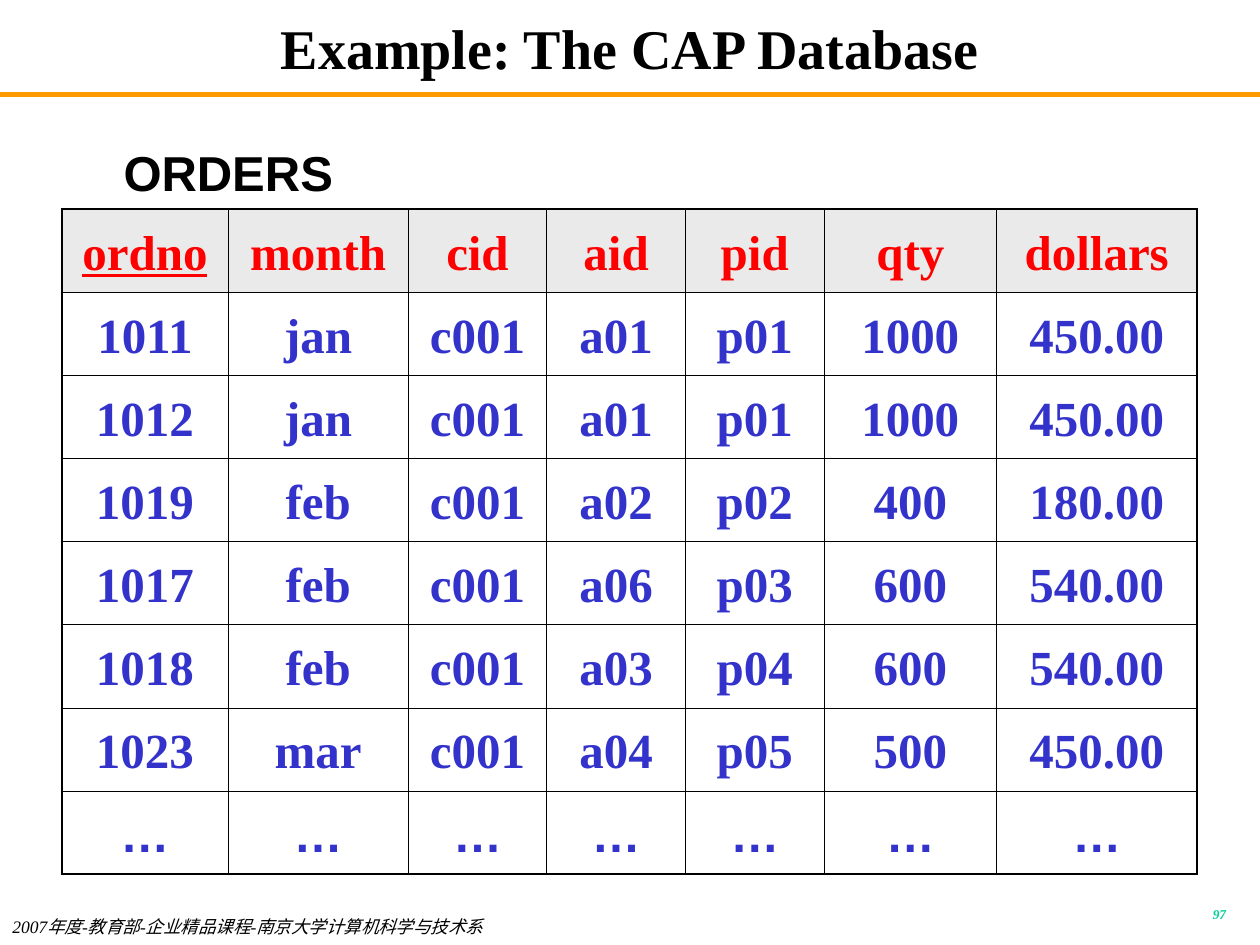
from lxml import etree
from pptx import Presentation
from pptx.dml.color import RGBColor
from pptx.enum import shapes, text
from pptx.oxml import ns
from pptx.util import Inches, Pt

BLACK = RGBColor(0x00, 0x00, 0x00)
ORANGE = RGBColor(0xFF, 0x99, 0x00)
GREEN = RGBColor(0x00, 0xCC, 0x99)
RED = RGBColor(0xFF, 0x00, 0x00)
BLUE = RGBColor(0x33, 0x33, 0xCC)
GRAY = RGBColor(0xEA, 0xEA, 0xEA)

SERIF, SANS = "Times New Roman", "Arial"
LEFT, CENTER, RIGHT = text.PP_ALIGN.LEFT, text.PP_ALIGN.CENTER, text.PP_ALIGN.RIGHT
OUTER_BORDER, INNER_BORDER = 1.08, 0.45

COLUMN_WIDTHS = [1.32, 1.43, 1.1, 1.1, 1.1, 1.37, 1.59]
ROW_HEIGHT = 0.66
ORDERS = [
    ["ordno", "month", "cid", "aid", "pid", "qty", "dollars"],
    ["1011", "jan", "c001", "a01", "p01", "1000", "450.00"],
    ["1012", "jan", "c001", "a01", "p01", "1000", "450.00"],
    ["1019", "feb", "c001", "a02", "p02", "400", "180.00"],
    ["1017", "feb", "c001", "a06", "p03", "600", "540.00"],
    ["1018", "feb", "c001", "a03", "p04", "600", "540.00"],
    ["1023", "mar", "c001", "a04", "p05", "500", "450.00"],
    ["…"] * len(COLUMN_WIDTHS),
]


def format_paragraph(paragraph, size, color, font=SERIF, align=LEFT, bold=True, italic=False):
    paragraph.alignment = align
    paragraph.font.name = font
    paragraph.font.size = Pt(size)
    paragraph.font.bold = bold
    paragraph.font.italic = italic
    paragraph.font.color.rgb = color


def add_label(slide, box, words, size, color, **style):
    shape = slide.shapes.add_textbox(*map(Inches, box))
    shape.text_frame.word_wrap = True
    shape.text_frame.text = words
    paragraph = shape.text_frame.paragraphs[0]
    format_paragraph(paragraph, size, color, **style)
    return shape


def add_header(slide, box, rule_top):
    # Title
    title = slide.shapes.title
    title.left, title.top, title.width, title.height = map(Inches, box)
    title.text_frame.text = "Example: The CAP Database"
    title.text_frame.vertical_anchor = text.MSO_ANCHOR.MIDDLE
    format_paragraph(title.text_frame.paragraphs[0], 32, BLACK, align=CENTER)

    # Rule across the slide
    rule = slide.shapes.add_connector(
        shapes.MSO_CONNECTOR.STRAIGHT, 0, Inches(rule_top), Inches(10), Inches(rule_top))
    rule.line.color.rgb = ORANGE
    rule.line.width = Pt(3)
    etree.SubElement(rule._element.spPr, ns.qn("a:effectLst"))


def set_borders(cell, widths):
    """Draw black borders; widths are points for left, right, top, bottom."""
    properties = cell._tc.get_or_add_tcPr()
    for side, width in zip("LRTB", widths):
        line = etree.SubElement(properties, ns.qn(f"a:ln{side}"), w=str(Pt(width)))
        fill = etree.SubElement(line, ns.qn("a:solidFill"))
        etree.SubElement(fill, ns.qn("a:srgbClr"), val=str(BLACK))


def add_orders_table(slide, left, top):
    rows, columns = len(ORDERS), len(COLUMN_WIDTHS)
    frame = slide.shapes.add_table(
        rows, columns, Inches(left), Inches(top),
        Inches(sum(COLUMN_WIDTHS)), Inches(ROW_HEIGHT * rows))
    table = frame.table
    table.horz_banding = False
    for column, width in zip(table.columns, COLUMN_WIDTHS):
        column.width = Inches(width)

    for r, values in enumerate(ORDERS):
        table.rows[r].height = Inches(ROW_HEIGHT)
        for c, value in enumerate(values):
            cell = table.cell(r, c)
            edges = (c == 0, c == columns - 1, r == 0, r == rows - 1)
            set_borders(cell, [OUTER_BORDER if edge else INNER_BORDER for edge in edges])
            if r == 0:
                cell.fill.solid()
                cell.fill.fore_color.rgb = GRAY
            else:
                cell.fill.background()
            cell.vertical_anchor = text.MSO_ANCHOR.MIDDLE
            cell.text = value
            paragraph = cell.text_frame.paragraphs[0]
            paragraph.line_spacing = 1.1
            format_paragraph(paragraph, 28, BLUE if r else RED,
                             font=SANS if value == "…" else SERIF, align=CENTER)

    # The key column is underlined
    table.cell(0, 0).text_frame.paragraphs[0].font.underline = True


def add_footer(slide, credit_box, number_box):
    add_label(slide, credit_box, "2007年度-教育部-企业精品课程-南京大学计算机科学与技术系",
              10, BLACK, bold=False, italic=True)
    number = add_label(slide, number_box, "97", 7.7, GREEN, align=RIGHT, italic=True)
    number.text_frame.paragraphs[0].line_spacing = 0.8


def main():
    presentation = Presentation()
    presentation.slide_width, presentation.slide_height = Inches(10), Inches(7.5)
    slide = presentation.slides.add_slide(presentation.slide_layouts[5])

    add_header(slide, (0.75, 0.08, 8.5, 0.58), rule_top=0.75)
    add_footer(slide, (0, 7.22, 6.1, 0.28), (7.75, 7.17, 2.08, 0.25))
    add_orders_table(slide, 0.49, 1.66)
    caption = add_label(slide, (0.57, 1.08, 2.17, 0.57), "ORDERS", 28, BLACK,
                        font=SANS, align=RIGHT)
    caption.text_frame.vertical_anchor = text.MSO_ANCHOR.BOTTOM

    presentation.save("out.pptx")


if __name__ == "__main__":
    main()
